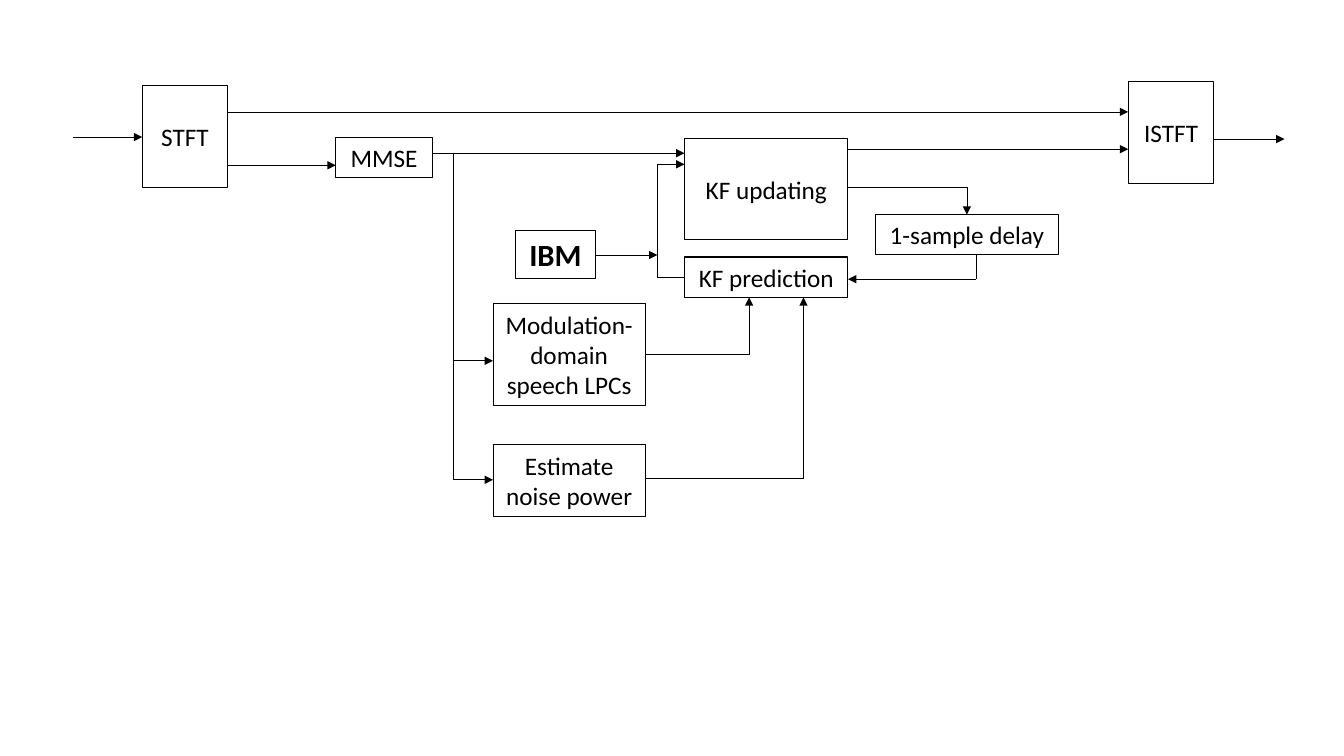
import itertools
import lxml.etree
import pptx
import pptx.dml.color
import pptx.enum.shapes
import pptx.enum.text
import pptx.oxml.ns
import pptx.util

THEME = {
    "ink": pptx.dml.color.RGBColor(0, 0, 0),
    "font": "Calibri",
    "label": 18,
    "emphasis": 22,
    "outline": 0.75,
    "wire": 0.5,
}
COLUMNS, ROWS = 1333, 750

presentation = pptx.Presentation()
presentation.slide_width = pptx.util.Inches(13.33)
presentation.slide_height = pptx.util.Inches(7.5)
diagram = presentation.slides.add_slide(presentation.slide_layouts[6])
column = presentation.slide_width // COLUMNS
row = presentation.slide_height // ROWS


def write_label(frame, text, size=THEME["label"], bold=False):
    frame.word_wrap = True
    frame.vertical_anchor = pptx.enum.text.MSO_ANCHOR.MIDDLE
    paragraph = frame.paragraphs[0]
    paragraph.alignment = pptx.enum.text.PP_ALIGN.CENTER
    label = paragraph.add_run()
    label.text = text
    label.font.name = THEME["font"]
    label.font.size = pptx.util.Pt(size)
    label.font.bold = bold
    label.font.color.rgb = THEME["ink"]


def draw_segment(start, end, arrow):
    segment = diagram.shapes.add_connector(
        pptx.enum.shapes.MSO_CONNECTOR.STRAIGHT,
        start[0] * column, start[1] * row, end[0] * column, end[1] * row)
    segment.line.color.rgb = THEME["ink"]
    segment.line.width = pptx.util.Pt(THEME["wire"])
    if arrow:
        lxml.etree.SubElement(segment.line._get_or_add_ln(),
                              pptx.oxml.ns.qn("a:tailEnd"), type="triangle")
    lxml.etree.SubElement(segment._element.spPr, pptx.oxml.ns.qn("a:effectLst"))


stft_left, stft_right = 141, 226
mmse_left, mmse_right = 333, 429
branch = 450
estimator_left, estimator_right = 489, 640
feedback = 652
kalman_left, kalman_right = 679, 841
istft_left, istft_right = 1119, 1204
prediction_top, prediction_bottom = 255, 295
delay_top, delay_bottom = 213, 253
tall, low = 101, 40

stages = [
    ("STFT", stft_left, stft_right, 85, tall, {}),
    ("MMSE", mmse_left, mmse_right, 136, low, {}),
    ("IBM", 511, 591, 229, 47, {"size": THEME["emphasis"], "bold": True}),
    ("Modulation-domain speech LPCs", estimator_left, estimator_right, 301, tall, {}),
    ("Estimate noise power", estimator_left, estimator_right, 441, 71, {}),
    ("KF updating", kalman_left, kalman_right, 137, tall, {}),
    ("KF prediction", kalman_left, kalman_right, prediction_top, low, {}),
    ("1-sample delay", 868, 1050, delay_top, low, {}),
    ("ISTFT", istft_left, istft_right, 81, tall, {}),
]
for name, left, right, top, height, style in stages:
    stage = diagram.shapes.add_shape(
        pptx.enum.shapes.MSO_SHAPE.RECTANGLE,
        left * column, top * row, (right - left) * column, height * row)
    stage.shadow.inherit = False
    stage.fill.background()
    stage.line.color.rgb = THEME["ink"]
    stage.line.width = pptx.util.Pt(THEME["outline"])
    write_label(stage.text_frame, name, **style)

signals = [
    [(72, 136), (stft_left, 136)],
    [(stft_right, 111), (istft_left, 111)],
    [(stft_right, 164), (mmse_left, 164)],
    [(mmse_right, 152), (kalman_left, 152)],
    [(branch, 358), (estimator_left, 358)],
    [(branch, 152), (branch, 476), (estimator_left, 476)],
    [(estimator_right, 352), (743, 352), (743, prediction_bottom)],
    [(estimator_right, 475), (797, 475), (797, prediction_bottom)],
    [(591, 253), (feedback, 253)],
    [(kalman_left, 275), (feedback, 275), (feedback, 163), (kalman_left, 163)],
    [(kalman_right, 186), (959, 186), (959, delay_top)],
    [(968, delay_bottom), (968, 277), (kalman_right, 277)],
    [(kalman_right, 148), (istft_left, 148)],
    [(istft_right, 138), (1274, 138)],
]
for route in signals:
    for start, end in itertools.pairwise(route):
        draw_segment(start, end, arrow=end == route[-1])

presentation.save("out.pptx")
